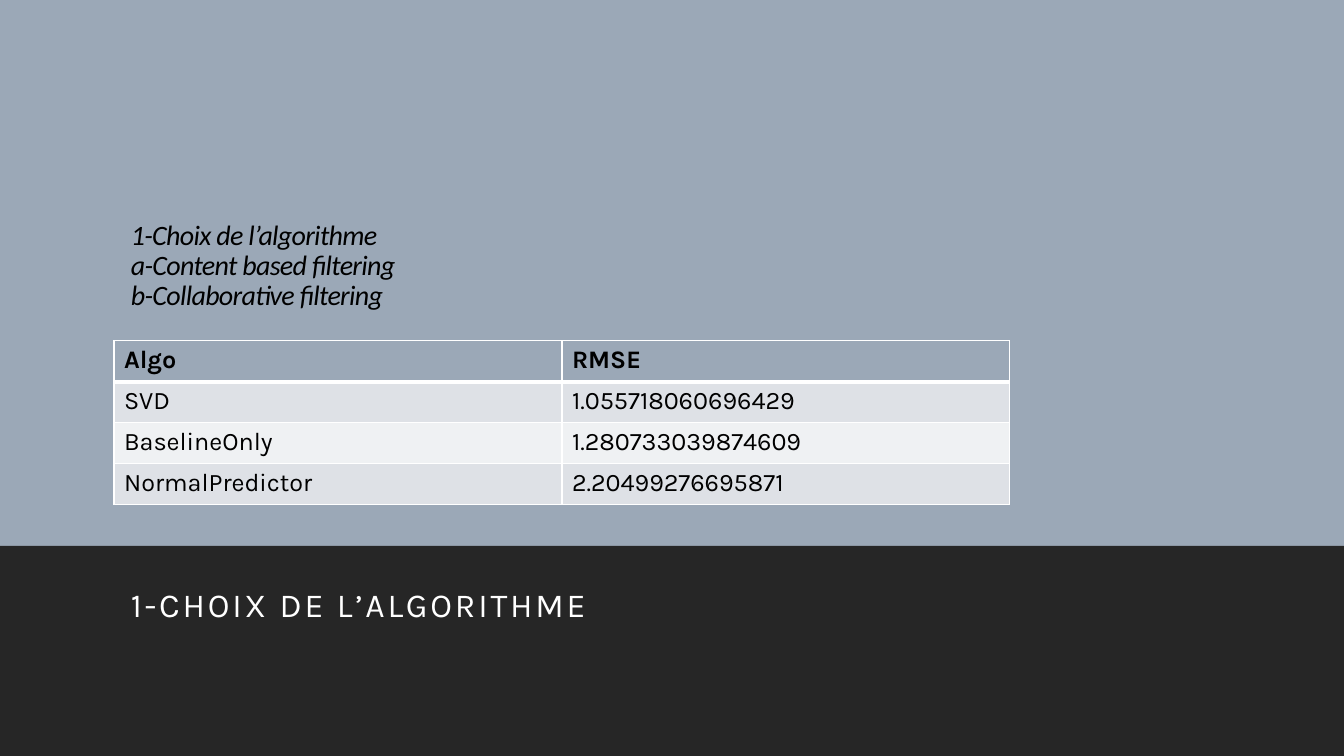
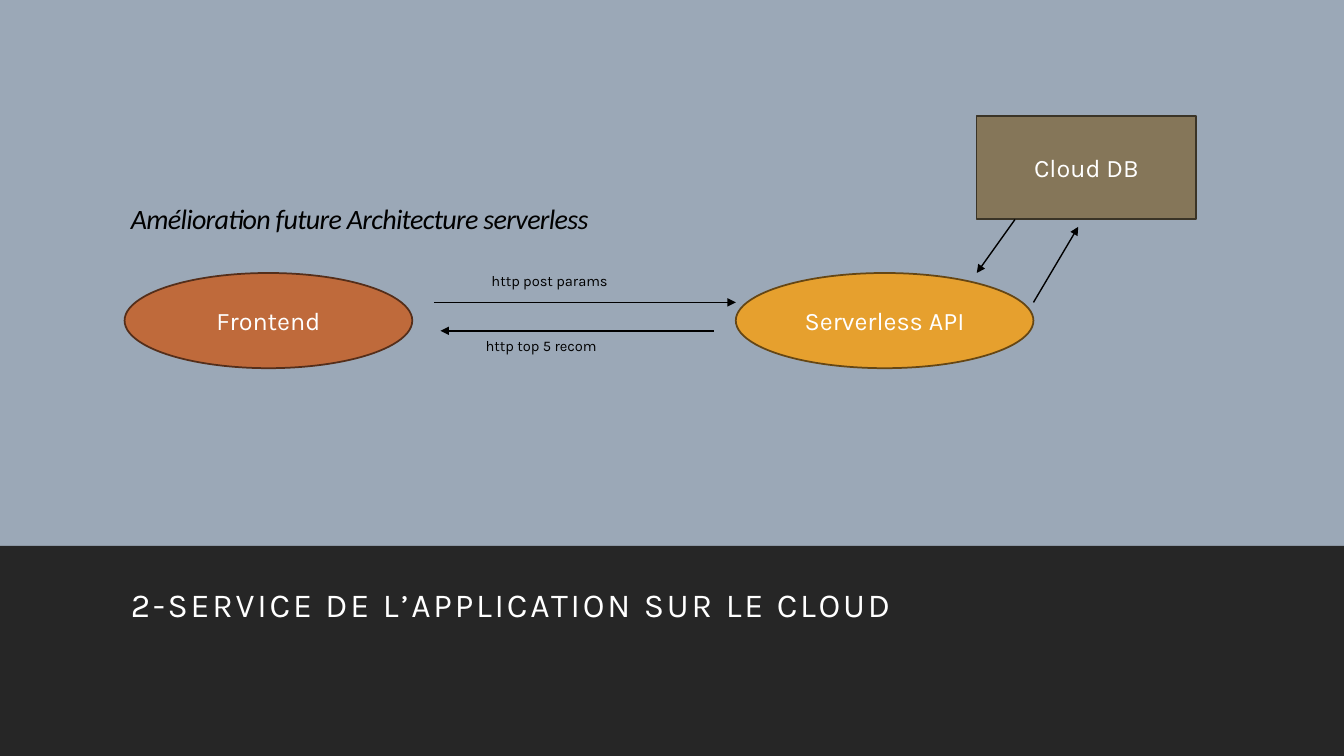
"""Build two slides on the choice of algorithm and the serverless architecture."""
from lxml import etree
from pptx import Presentation
from pptx.dml.color import RGBColor
from pptx.enum import shapes, text
from pptx.oxml import ns
from pptx.util import Pt

COLOURS = {
    "background": "9BA8B7", "band": "262626", "black": "000000", "white": "FFFFFF",
    "odd_row": "DEE1E6", "even_row": "EFF1F3",
    "rust": "BF6A3B", "rust_edge": "542E1A",
    "amber": "E6A02E", "amber_edge": "654614",
    "olive": "857659", "olive_edge": "3A3427",
}
FORMATS = {
    "heading": {"name": "Calibri", "size": Pt(20), "italic": True},
    "title": {"name": "Karla", "size": Pt(24)},
    "body": {"name": "Karla", "size": Pt(18), "bold": False},
    "table_head": {"name": "Karla", "size": Pt(18), "bold": True},
    "label": {"name": "Karla", "size": Pt(10.5)},
}
TRACKING = {"heading": -50, "title": 200}
LINE_SPACING = {"heading": 0.9, "title": 1.1}

WIDTH, HEIGHT = 960, 540
BAND_TOP = 390
TEXT_LEFT, TEXT_WIDTH = 86.4, 792
TITLE_TOP, TITLE_HEIGHT = 411, 90
LINE_HEIGHT = 22

ALGORITHM = {
    "title": "1-CHOIX DE L’ALGORITHME",
    "heading": ["1-Choix de l’algorithme", "a-Content based filtering", "b-Collaborative filtering"],
    "heading_top": 158,
}
CLOUD = {
    "title": "2-SERVICE DE L’APPLICATION SUR LE CLOUD",
    "heading": ["Amélioration future Architecture serverless"],
    "heading_top": 147,
}
SCORES = [
    ("Algo", "RMSE"),
    ("SVD", "1.055718060696429"),
    ("BaselineOnly", "1.280733039874609"),
    ("NormalPredictor", "2.20499276695871"),
]
TABLE_LEFT, TABLE_TOP = 81.4, 243.4
COLUMN_WIDTH, ROW_HEIGHT = 320, 29.2

NODES = [
    ("Frontend", "OVAL", "rust", (89, 195, 205.5, 68)),
    ("Serverless API", "OVAL", "amber", (525.6, 195, 212.6, 68)),
    ("Cloud DB", "RECTANGLE", "olive", (697.5, 82.8, 157, 73.8)),
]
ARROWS = [
    ((310, 216), (525.6, 216)),
    ((510, 236.3), (314.6, 236.3)),
    ((725, 156.8), (697.7, 195)),
    ((738.2, 216), (770.2, 162)),
]
LABELS = [
    ("http post params", (344, 190.8, 136, 20)),
    ("http top 5 recom", (339.8, 237, 147, 20)),
]


def colour(name):
    """Return the named colour."""
    return RGBColor.from_string(COLOURS[name])


def fill_with(item, name):
    """Give a shape, cell or background a solid fill."""
    item.fill.solid()
    item.fill.fore_color.rgb = colour(name)


def write(frame, lines, style, ink, align=text.PP_ALIGN.LEFT):
    """Write one styled paragraph for each line."""
    frame.word_wrap = True
    for index, line in enumerate(lines):
        paragraph = frame.add_paragraph() if index else frame.paragraphs[0]
        paragraph.alignment = align
        paragraph.line_spacing = LINE_SPACING.get(style)
        run = paragraph.add_run()
        run.text = line
        for attribute, value in FORMATS[style].items():
            setattr(run.font, attribute, value)
        run.font.color.rgb = colour(ink)
        if style in TRACKING:
            run.font._element.set("spc", str(TRACKING[style]))


def add_text(slide, box, lines, style, ink):
    """Add a text box and return its frame."""
    frame = slide.shapes.add_textbox(*map(Pt, box)).text_frame
    write(frame, lines, style, ink)
    return frame


def add_block(slide, kind, box, fill, edge=None):
    """Add a flat filled shape, outlined if an edge colour is given."""
    shape = slide.shapes.add_shape(shapes.MSO_SHAPE[kind], *map(Pt, box))
    shape.shadow.inherit = False
    fill_with(shape, fill)
    if edge:
        shape.line.color.rgb = colour(edge)
        shape.line.width = Pt(1.25)
    else:
        shape.line.fill.background()
    return shape


def add_slide(presentation, content):
    """Add a slide with the heading, the dark band and its title."""
    slide = presentation.slides.add_slide(presentation.slide_layouts[6])
    lines = content["heading"]
    box = (TEXT_LEFT, content["heading_top"], TEXT_WIDTH, LINE_HEIGHT * len(lines))
    frame = add_text(slide, box, lines, "heading", "black")
    frame.margin_top = frame.margin_bottom = 0
    add_block(slide, "RECTANGLE", (0, BAND_TOP, WIDTH, HEIGHT - BAND_TOP), "band")
    box = (TEXT_LEFT, TITLE_TOP, TEXT_WIDTH, TITLE_HEIGHT)
    add_text(slide, box, [content["title"]], "title", "white")
    return slide


def set_borders(cell, widths):
    """Draw white borders on the sides given with their widths."""
    properties = cell._tc.get_or_add_tcPr()
    for side, width in widths.items():
        line = etree.SubElement(properties, ns.qn(f"a:ln{side}"), w=str(Pt(width)))
        fill = etree.SubElement(line, ns.qn("a:solidFill"))
        etree.SubElement(fill, ns.qn("a:srgbClr"), val=COLOURS["white"])


def add_score_table(slide):
    """Add the table of algorithms and their errors."""
    rows, columns = len(SCORES), len(SCORES[0])
    box = (TABLE_LEFT, TABLE_TOP, COLUMN_WIDTH * columns, ROW_HEIGHT * rows)
    table = slide.shapes.add_table(rows, columns, *map(Pt, box)).table
    for row, values in enumerate(SCORES):
        table.rows[row].height = Pt(ROW_HEIGHT)
        fill = "background" if row == 0 else "odd_row" if row % 2 else "even_row"
        borders = {"L": 1, "R": 1, "T": 3 if row == 1 else 1, "B": 3 if row == 0 else 1}
        for column, value in enumerate(values):
            cell = table.cell(row, column)
            set_borders(cell, borders)
            fill_with(cell, fill)
            write(cell.text_frame, [value], "body" if row else "table_head", "black")


def add_arrow(slide, start, end):
    """Add a thin black arrow."""
    points = map(Pt, (*start, *end))
    arrow = slide.shapes.add_connector(shapes.MSO_CONNECTOR.STRAIGHT, *points)
    arrow.line.color.rgb = colour("black")
    arrow.line.width = Pt(1)
    etree.SubElement(arrow.line._get_or_add_ln(), ns.qn("a:tailEnd"), type="triangle")
    etree.SubElement(arrow._element.spPr, ns.qn("a:effectLst"))


def add_architecture(slide):
    """Add the nodes, the arrows between them and their labels."""
    for name, kind, fill, box in NODES:
        node = add_block(slide, kind, box, fill, f"{fill}_edge")
        node.text_frame.vertical_anchor = text.MSO_ANCHOR.MIDDLE
        write(node.text_frame, [name], "body", "white", text.PP_ALIGN.CENTER)
    for start, end in ARROWS:
        add_arrow(slide, start, end)
    for label, box in LABELS:
        add_text(slide, box, [label], "label", "black")


def main():
    """Build and save the presentation."""
    presentation = Presentation()
    presentation.slide_width, presentation.slide_height = Pt(WIDTH), Pt(HEIGHT)
    fill_with(presentation.slide_master.background, "background")
    add_score_table(add_slide(presentation, ALGORITHM))
    add_architecture(add_slide(presentation, CLOUD))
    presentation.save("out.pptx")


if __name__ == "__main__":
    main()
